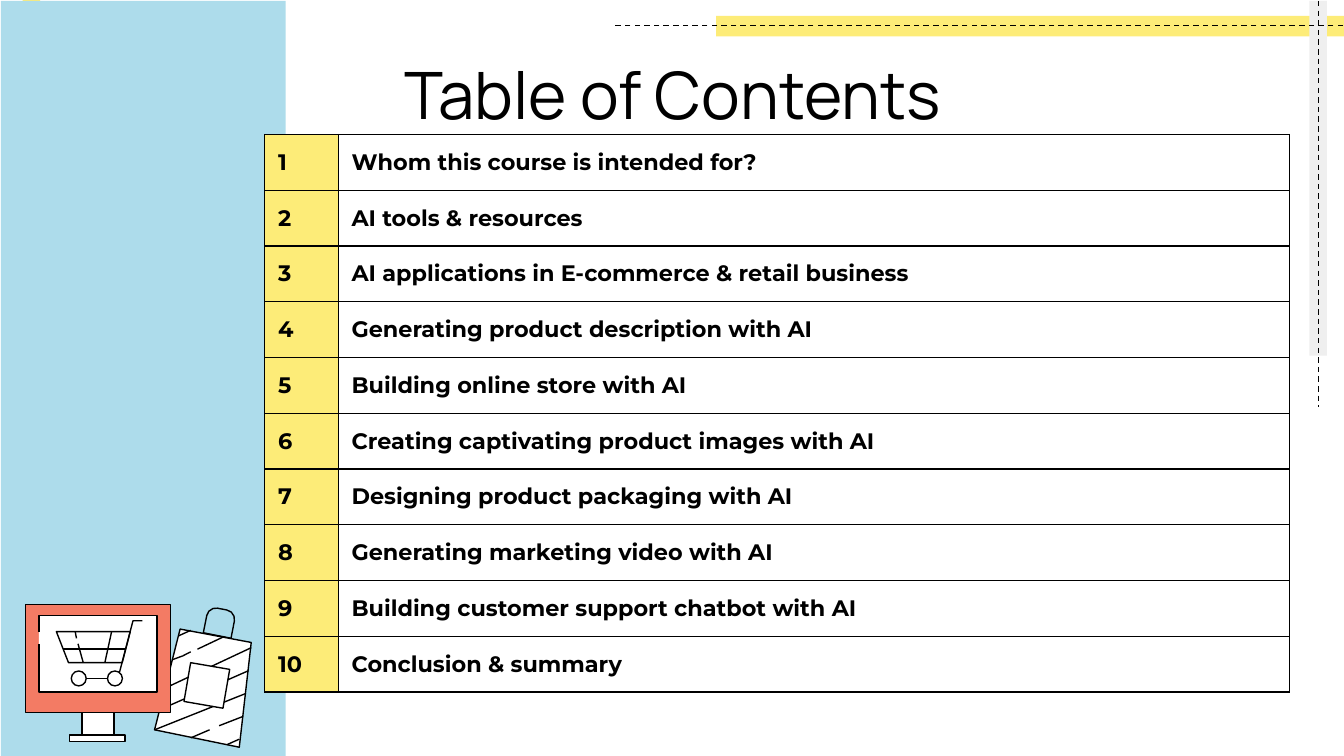
from lxml import etree
from pptx import Presentation
from pptx.dml.color import RGBColor
from pptx.enum import dml, shapes, text
from pptx.oxml import ns
from pptx.util import Pt

BLACK = RGBColor(0x00, 0x00, 0x00)
WHITE = RGBColor(0xFF, 0xFF, 0xFF)
YELLOW = RGBColor(0xFD, 0xEC, 0x78)
BLUE = RGBColor(0xAD, 0xDC, 0xEB)
CORAL = RGBColor(0xF3, 0x7B, 0x64)
GREY = RGBColor(0xEF, 0xEF, 0xEF)

CHAPTERS = [
    "Whom this course is intended for?",
    "AI tools & resources",
    "AI applications in E-commerce & retail business",
    "Generating product description with AI",
    "Building online store with AI",
    "Creating captivating product images with AI",
    "Designing product packaging with AI",
    "Generating marketing video with AI",
    "Building customer support chatbot with AI",
    "Conclusion & summary",
]
BAG = [(128.2, 400.3), (82.8, 391), (96.5, 337), (134.6, 344.2)]
BAG_LABEL = [(102.2, 355), (123.1, 358.6), (119.5, 379.4), (98.6, 375.8)]
BAG_STRIPES = [
    (105.8, 347.8, 119.5, 341.3),
    (97.9, 351.4, 102.2, 349.2),
    (92.2, 353.5, 97.9, 351.4),
    (88.6, 368.6, 134.6, 347),
    (85.7, 380.2, 133.2, 359.3),
    (82.8, 391, 131.8, 371.5),
    (117.4, 388.8, 130.3, 383.8),
    (102.2, 395.3, 112.3, 391),
    (121.7, 398.9, 128.2, 396),
    (95.8, 340.6, 102.2, 337.7),
]
SCREEN = [(20.9, 338.4), (20.9, 329.8), (84.2, 329.8),
          (84.2, 370.8), (20.9, 370.8), (20.9, 344.9)]
CART_HANDLE = [(64.1, 360), (71.3, 332.6), (76.3, 332.6)]
CART_BASKET = [(65.5, 355), (36.7, 355), (30.2, 338.4), (69.8, 338.4)]
CART_BARS = [
    (46.1, 363.6, 57.6, 363.6),
    (41.8, 344.9, 44.6, 355),
    (40.3, 338.4, 41, 342),
    (59.8, 338.4, 56.2, 355),
    (33.8, 347.8, 67.7, 347.8),
]


def write(frame, words, font, size, bold=False, color=BLACK, align=text.PP_ALIGN.LEFT):
    frame.word_wrap = True
    paragraph = frame.paragraphs[0]
    paragraph.alignment = align
    run = paragraph.add_run()
    run.text = words
    run.font.name = font
    run.font.size = Pt(size)
    run.font.bold = bold
    run.font.color.rgb = color


class Sketch:
    heading_font = "Manrope"
    body_font = "Montserrat"
    stroke = 0.75

    def __init__(self, slide):
        self.slide = slide

    def style(self, figure, fill, outlined):
        figure.shadow.inherit = False
        if fill is None:
            figure.fill.background()
        else:
            figure.fill.solid()
            figure.fill.fore_color.rgb = fill
        if outlined:
            figure.line.color.rgb = BLACK
            figure.line.width = Pt(self.stroke)
        else:
            figure.line.fill.background()

    def preset(self, kind, left, top, width, height, fill=None, outlined=True):
        figure = self.slide.shapes.add_shape(kind, Pt(left), Pt(top), Pt(width), Pt(height))
        self.style(figure, fill, outlined)
        return figure

    def box(self, *place, fill, outlined=True):
        return self.preset(shapes.MSO_SHAPE.RECTANGLE, *place, fill=fill, outlined=outlined)

    def outline(self, points, fill=None, close=True):
        start, *rest = [(Pt(x), Pt(y)) for x, y in points]
        builder = self.slide.shapes.build_freeform(*start)
        builder.add_line_segments(rest, close=close)
        self.style(builder.convert_to_shape(), fill, True)

    def line(self, x1, y1, x2, y2, dashed=False):
        stroke = self.slide.shapes.add_connector(
            shapes.MSO_CONNECTOR.STRAIGHT, Pt(x1), Pt(y1), Pt(x2), Pt(y2))
        stroke.line.color.rgb = BLACK
        stroke.line.width = Pt(self.stroke)
        if dashed:
            stroke.line.dash_style = dml.MSO_LINE.DASH
        etree.SubElement(stroke._element.spPr, ns.qn("a:effectLst"))

    def title(self, words, left, top, width, height):
        heading = self.slide.shapes.title
        heading.left, heading.top = Pt(left), Pt(top)
        heading.width, heading.height = Pt(width), Pt(height)
        frame = heading.text_frame
        frame.auto_size = text.MSO_AUTO_SIZE.NONE
        frame.vertical_anchor = text.MSO_ANCHOR.MIDDLE
        frame.margin_left = frame.margin_right = Pt(7.2)
        frame.margin_top = frame.margin_bottom = Pt(7.2)
        write(frame, words, self.heading_font, 35, align=text.PP_ALIGN.CENTER)

    def cell(self, cell, words, fill):
        cell.margin_left = cell.margin_right = Pt(7.2)
        cell.margin_top = cell.margin_bottom = 0
        cell.vertical_anchor = text.MSO_ANCHOR.MIDDLE
        write(cell.text_frame, words, self.body_font, 12, bold=True)
        properties = cell._tc.get_or_add_tcPr()
        for side in ("a:lnL", "a:lnR", "a:lnT", "a:lnB"):
            border = etree.SubElement(properties, ns.qn(side), w=str(Pt(self.stroke)))
            paint = etree.SubElement(border, ns.qn("a:solidFill"))
            etree.SubElement(paint, ns.qn("a:srgbClr"), val=str(BLACK))
        cell.fill.solid()
        cell.fill.fore_color.rgb = fill

    def contents(self, chapters, left, top, widths, row_height):
        table = self.slide.shapes.add_table(
            len(chapters), len(widths), Pt(left), Pt(top),
            Pt(sum(widths)), Pt(row_height * len(chapters))).table
        table.first_row = table.horz_banding = False
        for column, width in zip(table.columns, widths):
            column.width = Pt(width)
        for index, chapter in enumerate(chapters):
            table.rows[index].height = Pt(row_height)
            self.cell(table.cell(index, 0), str(index + 1), YELLOW)
            self.cell(table.cell(index, 1), chapter, WHITE)

    def bag(self):
        handle = self.preset(shapes.MSO_SHAPE.ROUND_2_SAME_RECTANGLE, 110.2, 326.2, 15.1, 14.4)
        handle.adjustments[0] = 0.35
        handle.rotation = 11.1
        self.outline(BAG, WHITE)
        for stripe in BAG_STRIPES:
            self.line(*stripe)
        self.outline(BAG_LABEL, WHITE)

    def monitor(self):
        self.box(43.9, 381.6, 17.3, 12.2, fill=WHITE)
        self.box(37.4, 393.8, 29.5, 3.6, fill=WHITE)
        self.box(13.7, 324, 77.8, 57.6, fill=CORAL)
        self.outline(SCREEN, WHITE, close=False)

    def cart(self):
        self.outline(CART_HANDLE, close=False)
        for wheel_left in (38.2, 57.6):
            self.preset(shapes.MSO_SHAPE.OVAL, wheel_left, 359.5, 8, 8)
        self.outline(CART_BASKET)
        for bar in CART_BARS:
            self.line(*bar)


def main():
    deck = Presentation()
    deck.slide_width, deck.slide_height = Pt(720), Pt(405)
    sketch = Sketch(deck.slides.add_slide(deck.slide_layouts[5]))
    sketch.box(12.2, 0, 9.4, 190, fill=YELLOW, outlined=False)
    sketch.box(383.7, 8.5, 336.3, 11, fill=YELLOW, outlined=False)
    sketch.box(701.5, 0.5, 9.4, 190, fill=GREY, outlined=False)
    sketch.line(719.5, 13.8, 328.5, 13.8, dashed=True)
    sketch.line(706.2, 0.5, 706.2, 218, dashed=True)
    sketch.box(0.5, 0.5, 152.6, 404.5, fill=BLUE, outlined=False)
    sketch.title("Table of Contents", 56.9, 27.4, 607, 45.4)
    sketch.contents(CHAPTERS, 141.8, 72, (39.4, 509.8), 29.9)
    sketch.bag()
    sketch.monitor()
    sketch.cart()
    deck.save("out.pptx")


if __name__ == "__main__":
    main()
